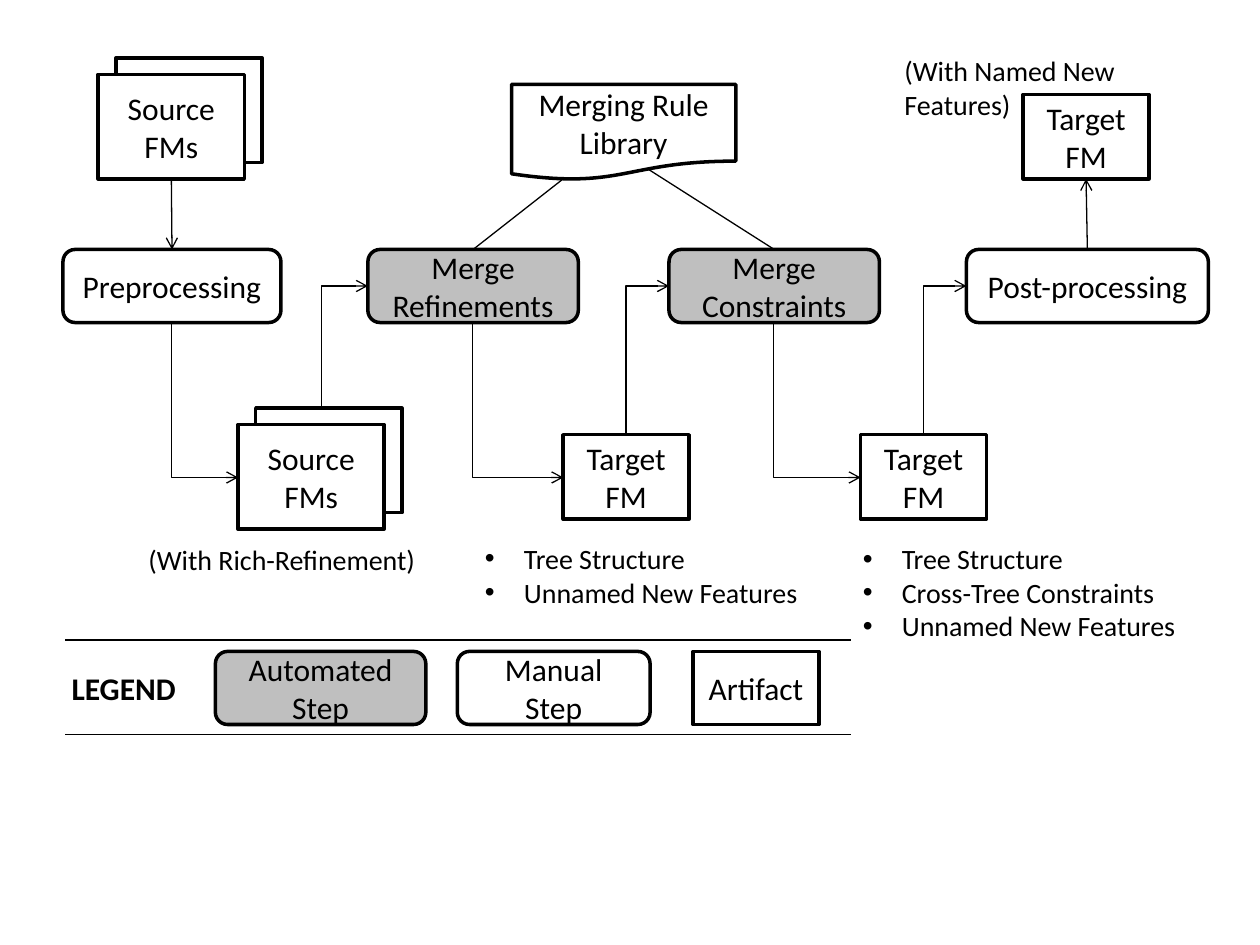
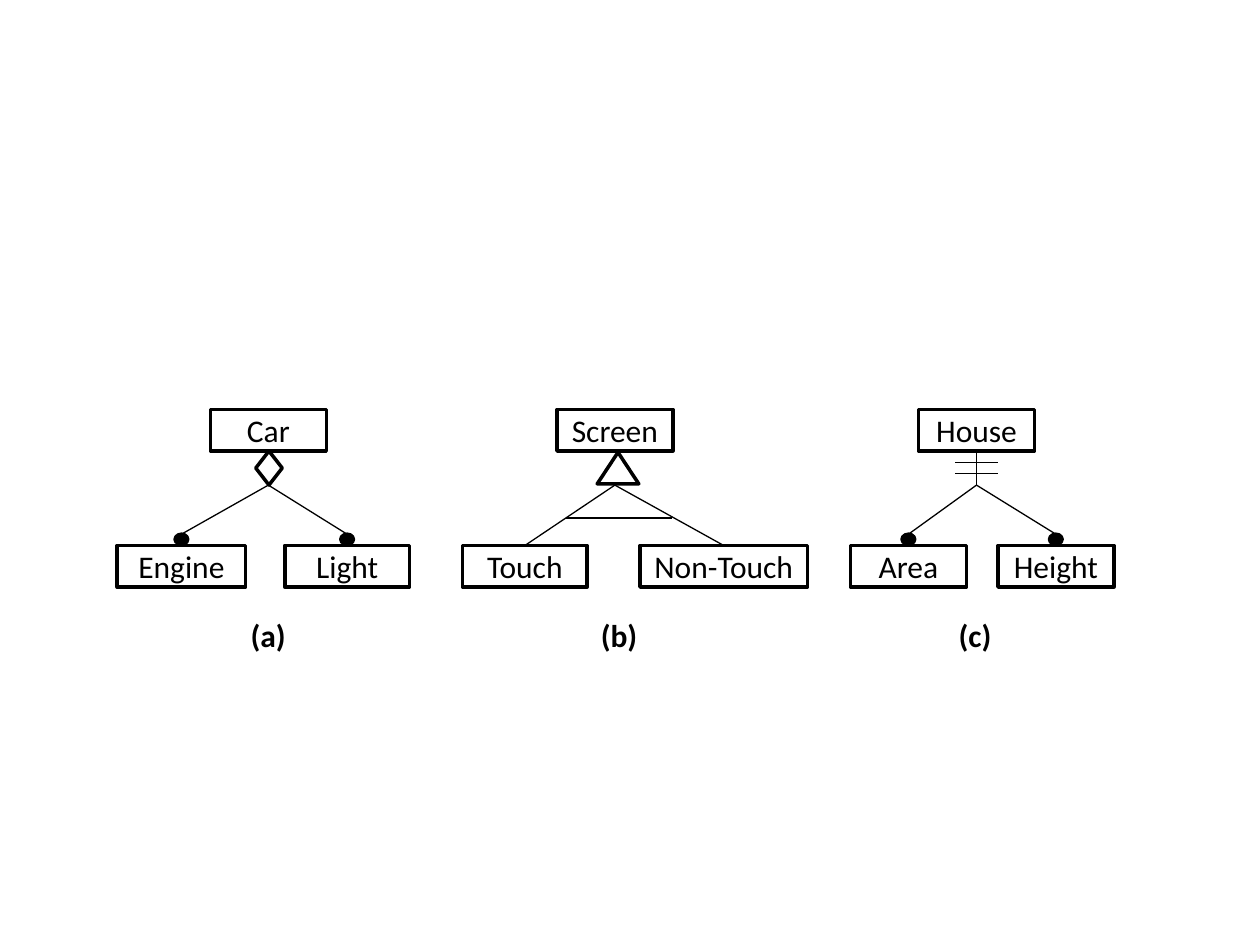
"""Build two slides: a feature-model merging workflow and three refinement trees."""
import dataclasses

import pptx
import pptx.dml.color
import pptx.enum.shapes
import pptx.enum.text
import pptx.oxml.ns
import pptx.util

Inches = pptx.util.Inches
Pt = pptx.util.Pt
RGB = pptx.dml.color.RGBColor.from_string
qn = pptx.oxml.ns.qn
SHAPE = pptx.enum.shapes.MSO_SHAPE
CONNECTOR = pptx.enum.shapes.MSO_CONNECTOR
ALIGN = pptx.enum.text.PP_ALIGN
ANCHOR = pptx.enum.text.MSO_ANCHOR
AUTO_SIZE = pptx.enum.text.MSO_AUTO_SIZE
TOP, BOTTOM = 0, 2


@dataclasses.dataclass(frozen=True)
class Theme:
    ink: str = "000000"
    paper: str = "FFFFFF"
    automated: str = "BFBFBF"
    font: str = "Calibri"
    label_size: float = 18
    note_size: float = 16
    outline: float = 2
    thin: float = 0.75


class Diagram:
    def __init__(self, prs, theme):
        self.prs, self.theme, self.s = prs, theme, None

    def new_slide(self):
        self.s = self.prs.slides.add_slide(self.prs.slide_layouts[6])

    def label(self, p, text, size, bold=False):
        r = p.add_run()
        r.text = text
        values = {"name": self.theme.font, "size": Pt(size), "bold": bold}
        for name, value in values.items():
            setattr(r.font, name, value)
        r.font.color.rgb = RGB(self.theme.ink)

    def box(self, x, y, w, h, text="", kind=SHAPE.RECTANGLE, fill=None):
        sp = self.s.shapes.add_shape(kind, Inches(x), Inches(y), Inches(w), Inches(h))
        sp.shadow.inherit = False
        sp.fill.solid()
        sp.fill.fore_color.rgb = RGB(fill or self.theme.paper)
        sp.line.color.rgb = RGB(self.theme.ink)
        sp.line.width = Pt(self.theme.outline)
        if text:
            tf = sp.text_frame
            for name, value in {"word_wrap": True, "vertical_anchor": ANCHOR.MIDDLE}.items():
                setattr(tf, name, value)
            p = tf.paragraphs[0]
            p.alignment = ALIGN.CENTER
            self.label(p, text, self.theme.label_size)
        return sp

    def step(self, x, w, text, y=1.98, automated=False):
        fill = self.theme.automated if automated else self.theme.paper
        return self.box(x, y, w, 0.58, text, SHAPE.ROUNDED_RECTANGLE, fill)

    def target(self, x, y):
        return self.box(x, y, 1, 0.67, "Target FM")

    def stack(self, x, y):
        self.box(x + 0.14, y - 0.13, 1.16, 0.83)
        return self.box(x, y, 1.16, 0.83, "Source FMs")

    def dot(self, x, y):
        self.box(x - 0.05, y, 0.1, 0.08, kind=SHAPE.OVAL, fill=self.theme.ink)

    def text(self, x, y, w, h, lines, size, bold=False, wrap=True, bullets=False):
        sp = self.s.shapes.add_textbox(Inches(x), Inches(y), Inches(w), Inches(h))
        tf = sp.text_frame
        for name, value in {"word_wrap": wrap, "auto_size": AUTO_SIZE.SHAPE_TO_FIT_TEXT}.items():
            setattr(tf, name, value)
        for i, line in enumerate(lines):
            p = tf.add_paragraph() if i else tf.paragraphs[0]
            self.label(p, line, size, bold)
            if bullets:
                self.bullet(p)

    def bullet(self, p):
        pPr = p._p.get_or_add_pPr()
        pPr.set("marL", str(Inches(0.31)))
        pPr.set("indent", str(-Inches(0.31)))
        for tag, name, value in (("a:buFont", "typeface", "Arial"), ("a:buChar", "char", "•")):
            pPr.append(pPr.makeelement(qn(tag), {name: value}))

    def note(self, x, y, w, h, *lines):
        self.text(x, y, w, h, lines, self.theme.note_size, bullets=len(lines) > 1)

    def heading(self, x, y, w, text):
        self.text(x, y, w, 0.4, [text], self.theme.label_size, bold=True, wrap=False)

    def line(self, x1, y1, x2, y2, begin=None, end=None, arrow=False, width=None,
             kind=CONNECTOR.STRAIGHT):
        cxn = self.s.shapes.add_connector(kind, *map(Inches, (x1, y1, x2, y2)))
        cxn.line.color.rgb = RGB(self.theme.ink)
        cxn.line.width = Pt(width or self.theme.thin)
        spPr = cxn._element.spPr
        if arrow:
            ln = spPr.find(qn("a:ln"))
            ln.append(ln.makeelement(qn("a:tailEnd"), {"type": "arrow"}))
        spPr.append(spPr.makeelement(qn("a:effectLst"), {}))
        if begin:
            cxn.begin_connect(*begin)
        if end:
            cxn.end_connect(*end)
        return cxn

    def elbow(self, x1, y1, x2, y2):
        cx, cy = (x1 + x2) / 2, (y1 + y2) / 2
        half_w = abs(y2 - y1) / 2
        down = y2 > y1
        half_h = (x2 - x1) / 2 * (1 if down else -1)
        cxn = self.line(cx + half_w, cy - half_h, cx - half_w, cy + half_h,
                        arrow=True, kind=CONNECTOR.ELBOW)
        spPr = cxn._element.spPr
        spPr.find(qn("a:prstGeom")).set("prst", "bentConnector2")
        spPr.find(qn("a:xfrm")).set("rot", "16200000" if down else "5400000")


def workflow_slide(d):
    d.new_slide()
    preprocessing = d.step(0.5, 1.73, "Preprocessing")
    refinements = d.step(2.92, 1.67, "Merge Refinements", automated=True)
    constraints = d.step(5.31, 1.67, "Merge Constraints", automated=True)
    postprocessing = d.step(7.67, 1.92, "Post-processing")

    for x1, x2 in ((1.36, 1.89), (3.75, 4.47), (6.14, 6.83)):
        d.elbow(x1, 2.56, x2, 3.79)
    for x1, x2 in ((2.55, 2.92), (4.97, 5.31), (7.33, 7.67)):
        d.elbow(x1, 3.45, x2, 2.27)

    sources = d.stack(0.78, 0.59)
    d.stack(1.89, 3.37)
    for x in (4.47, 6.83):
        d.target(x, 3.45)
    final_target = d.target(8.12, 0.75)
    d.box(4.06, 0.67, 1.78, 0.76, "Merging Rule Library", SHAPE.FLOWCHART_DOCUMENT)

    d.line(1.36, 1.42, 1.36, 1.98, (sources, BOTTOM), (preprocessing, TOP), arrow=True)
    d.line(8.62, 1.98, 8.62, 1.42, (postprocessing, TOP), (final_target, BOTTOM), arrow=True)
    d.line(4.47, 1.42, 3.75, 1.98, end=(refinements, TOP))
    d.line(5.14, 1.34, 6.14, 1.98, end=(constraints, TOP))

    d.note(1.08, 4.26, 2.74, 0.37, "(With Rich-Refinement)")
    d.note(3.75, 4.25, 2.85, 0.64, "Tree Structure", "Unnamed New Features")
    d.note(6.75, 4.25, 2.74, 0.91, "Tree Structure", "Cross-Tree Constraints",
           "Unnamed New Features")
    d.note(7.08, 0.38, 2.74, 0.37, "(With Named New Features)")

    d.heading(0.47, 5.26, 1.03, "LEGEND")
    d.step(1.71, 1.67, "Automated Step", y=5.17, automated=True)
    d.step(3.63, 1.53, "Manual Step", y=5.17)
    d.box(5.5, 5.17, 1, 0.58, "Artifact")
    for y in (5.08, 5.83):
        d.line(0.52, y, 6.75, y)


def trees_slide(d):
    d.new_slide()
    apex_y, dot_y, child_y = 3.85, 4.24, 4.33
    trees = (
        ("Car", 1.67, (("Engine", 0.93, 1.02), ("Light", 2.26, 0.99)), "(a)", 1.89, 0.48),
        ("Screen", 4.42, (("Touch", 3.67, 0.99), ("Non-Touch", 5.08, 1.33)), "(b)", 4.67, 0.49),
        ("House", 7.29, (("Area", 6.75, 0.92), ("Height", 7.92, 0.92)), "(c)", 7.51, 0.46),
    )
    for root, root_x, children, caption, caption_x, caption_w in trees:
        apex_x = root_x + 0.46
        parent = d.box(root_x, 3.25, 0.92, 0.33, root)
        for child, x, w in children:
            sp = d.box(x, child_y, w, 0.33, child)
            middle = x + w / 2
            if root == "Screen":
                d.line(apex_x, apex_y, middle, child_y, end=(sp, TOP))
            else:
                d.line(apex_x, apex_y, middle, dot_y)
                d.dot(middle, dot_y)
        if root == "Car":
            d.box(2.03, 3.58, 0.21, 0.27, kind=SHAPE.FLOWCHART_DECISION)
        elif root == "Screen":
            d.box(4.74, 3.59, 0.33, 0.25, kind=SHAPE.ISOSCELES_TRIANGLE)
            d.line(4.49, 4.11, 5.33, 4.11, width=1)
        else:
            d.line(apex_x, 3.58, apex_x, apex_y, begin=(parent, BOTTOM))
            for y in (3.67, 3.76):
                d.line(7.58, y, 7.92, y)
        d.heading(caption_x, 4.84, caption_w, caption)


def main():
    prs = pptx.Presentation()
    prs.slide_width, prs.slide_height = Inches(10), Inches(7.5)
    d = Diagram(prs, Theme())
    workflow_slide(d)
    trees_slide(d)
    prs.save("out.pptx")


if __name__ == "__main__":
    main()
